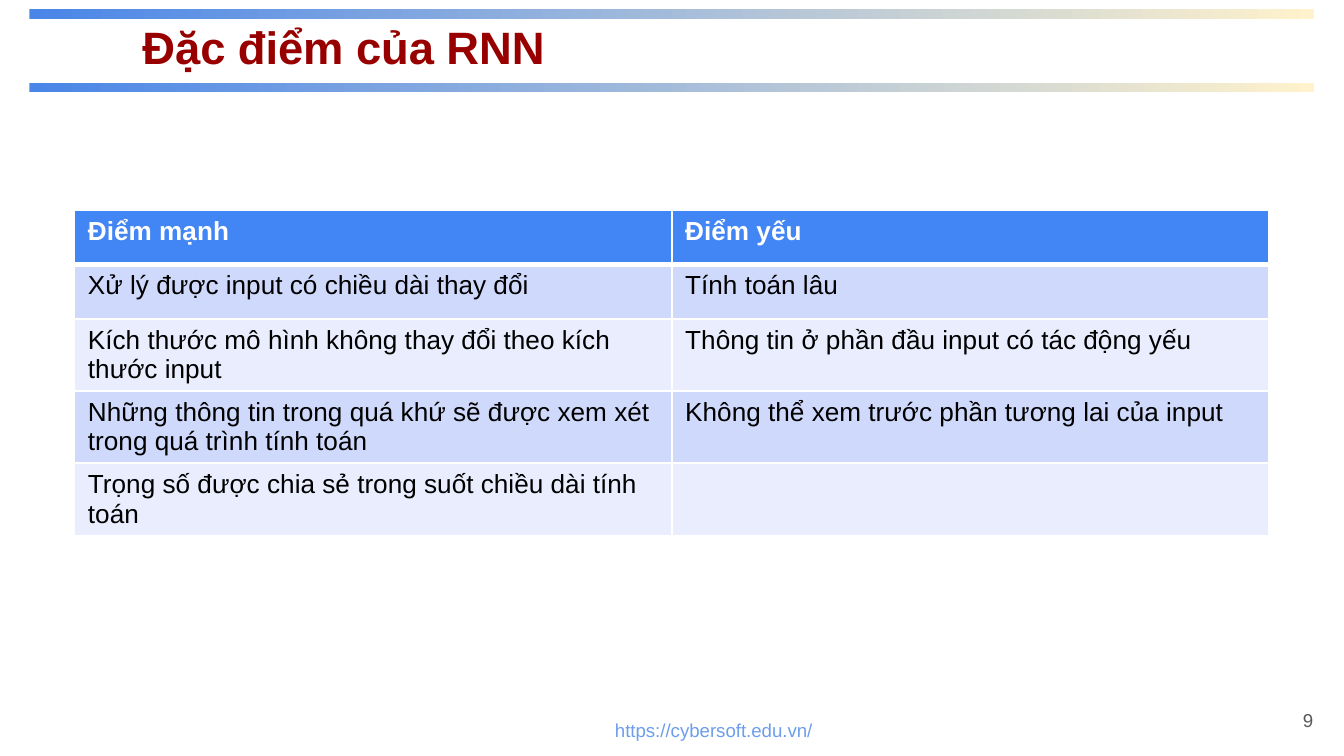
from lxml.etree import SubElement
from pptx import Presentation
from pptx.dml.color import RGBColor
from pptx.enum.shapes import MSO_SHAPE
from pptx.enum.text import MSO_ANCHOR, MSO_AUTO_SIZE, PP_ALIGN
from pptx.oxml.ns import qn
from pptx.util import Pt

TITLE = "Đặc điểm của RNN"
FOOTER = "https://cybersoft.edu.vn/"
PAGE_NUMBER = "9"
ROWS = [
    ("Điểm mạnh", "Điểm yếu"),
    ("Xử lý được input có chiều dài thay đổi", "Tính toán lâu"),
    ("Kích thước mô hình không thay đổi theo kích thước input",
     "Thông tin ở phần đầu input có tác động yếu"),
    ("Những thông tin trong quá khứ sẽ được xem xét trong quá trình tính toán",
     "Không thể xem trước phần tương lai của input"),
    ("Trọng số được chia sẻ trong suốt chiều dài tính toán", ""),
]
HEADER_FILL, BAND_FILLS = "4285F4", ("CFD9FB", "E9EDFD")
BAR_COLORS = ("4A86E8", "FFF2CC")
BAR_TOPS = (44.6, 5)
TABLE_LEFT, TABLE_TOP, COLUMN_WIDTH, ROW_HEIGHT = 39.9, 112.4, 320, 29.2


def color(value):
    return RGBColor.from_string(value)


def place(shape, left, top, width, height):
    box = {"left": left, "top": top, "width": width, "height": height}
    for name, value in box.items():
        setattr(shape, name, Pt(value))


def write(frame, text, size, text_color, bold=False, alignment=PP_ALIGN.LEFT):
    paragraph = frame.paragraphs[0]
    paragraph.text = text
    paragraph.alignment = alignment
    formats = {"name": "Arial", "size": Pt(size), "bold": bold}
    for name, value in formats.items():
        setattr(paragraph.font, name, value)
    paragraph.font.color.rgb = color(text_color)
    return paragraph


def format_frame(frame, vertical_margin):
    formats = {
        "word_wrap": True, "auto_size": MSO_AUTO_SIZE.NONE,
        "vertical_anchor": MSO_ANCHOR.MIDDLE,
        "margin_left": Pt(7.2), "margin_right": Pt(7.2),
        "margin_top": Pt(vertical_margin), "margin_bottom": Pt(vertical_margin),
    }
    for name, value in formats.items():
        setattr(frame, name, value)


def add_text(slide, box, text, vertical_margin, **style):
    shape = slide.shapes.add_textbox(*map(Pt, box))
    format_frame(shape.text_frame, vertical_margin)
    return write(shape.text_frame, text, **style)


def add_bar(slide, top):
    bar = slide.shapes.add_shape(MSO_SHAPE.RECTANGLE, *map(Pt, (15.8, top, 688.4, 5)))
    bar.shadow.inherit = False
    bar.line.fill.background()
    bar.fill.gradient()
    bar.fill.gradient_angle = 0
    for stop, value in zip(bar.fill.gradient_stops, BAR_COLORS):
        stop.color.rgb = color(value)


def add_borders(cell, widths):
    properties = cell._tc.get_or_add_tcPr()
    for side, width in widths.items():
        line = SubElement(properties, qn(f"a:ln{side}"), w=str(Pt(width)))
        fill = SubElement(line, qn("a:solidFill"))
        SubElement(fill, qn("a:srgbClr"), val="FFFFFF")


def add_comparison(slide):
    table = slide.shapes.add_table(
        len(ROWS), 2, Pt(TABLE_LEFT), Pt(TABLE_TOP),
        Pt(2 * COLUMN_WIDTH), Pt(len(ROWS) * ROW_HEIGHT)).table
    for row_index, row in enumerate(ROWS):
        header = row_index == 0
        fill = HEADER_FILL if header else BAND_FILLS[(row_index - 1) % 2]
        widths = {"L": 1, "R": 1, "T": 3 if row_index == 1 else 1, "B": 3 if header else 1}
        for column_index, text in enumerate(row):
            cell = table.cell(row_index, column_index)
            add_borders(cell, widths)
            cell.fill.solid()
            cell.fill.fore_color.rgb = color(fill)
            write(cell.text_frame, text, 14, "FFFFFF" if header else "000000", header)


def main():
    """Build the slide comparing RNN strengths and weaknesses."""
    presentation = Presentation()
    presentation.slide_width, presentation.slide_height = Pt(720), Pt(405)
    slide = presentation.slides.add_slide(presentation.slide_layouts[5])
    for top in BAR_TOPS:
        add_bar(slide, top)
    add_text(slide, (267.8, 383.8, 229, 14.4), FOOTER, 0,
             size=10, text_color="6D9EEB", alignment=PP_ALIGN.CENTER)
    title = slide.shapes.title
    place(title, 69.1, 5.8, 626.4, 38.2)
    format_frame(title.text_frame, 7.2)
    write(title.text_frame, TITLE, 24.3, "980000", True)
    number = add_text(slide, (667.4, 375.8, 43.2, 22.3), PAGE_NUMBER, 7.2,
                      size=10, text_color="595959", alignment=PP_ALIGN.RIGHT)
    number.line_spacing = 0.8
    add_comparison(slide)
    presentation.save("out.pptx")


if __name__ == "__main__":
    main()
